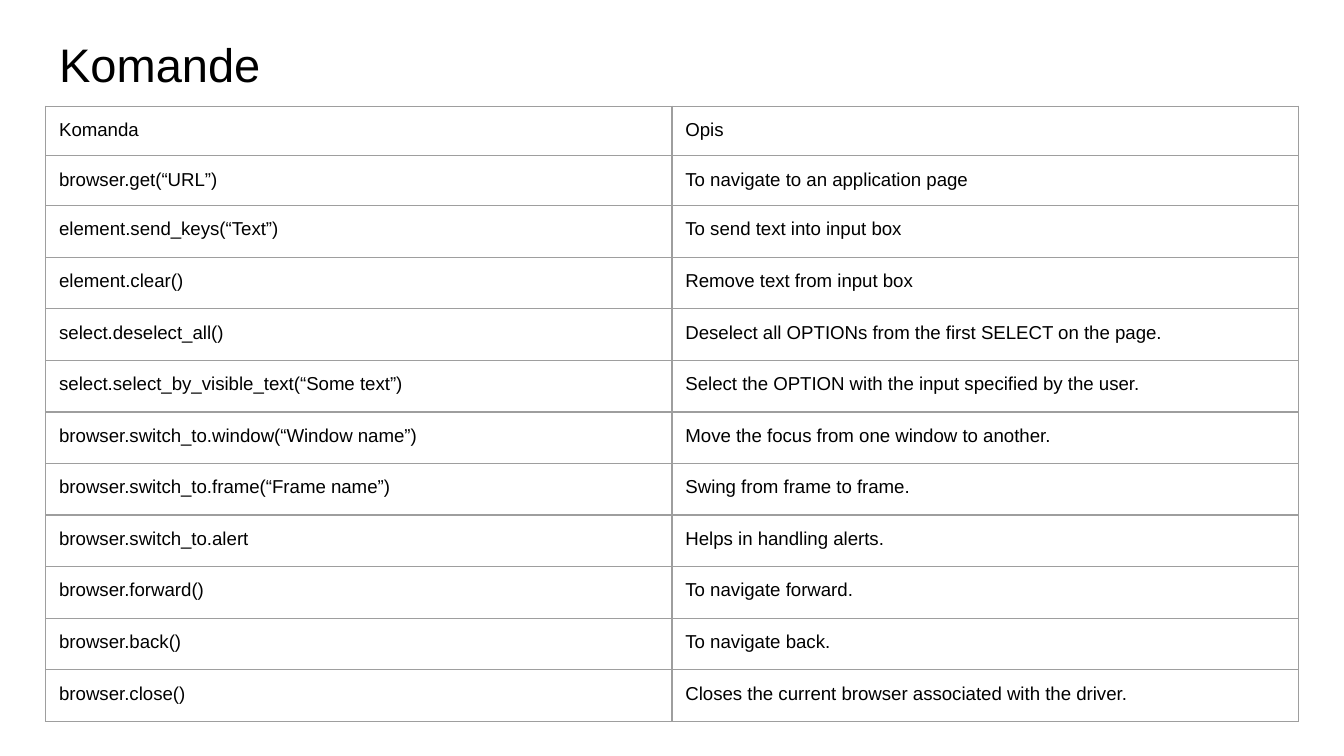
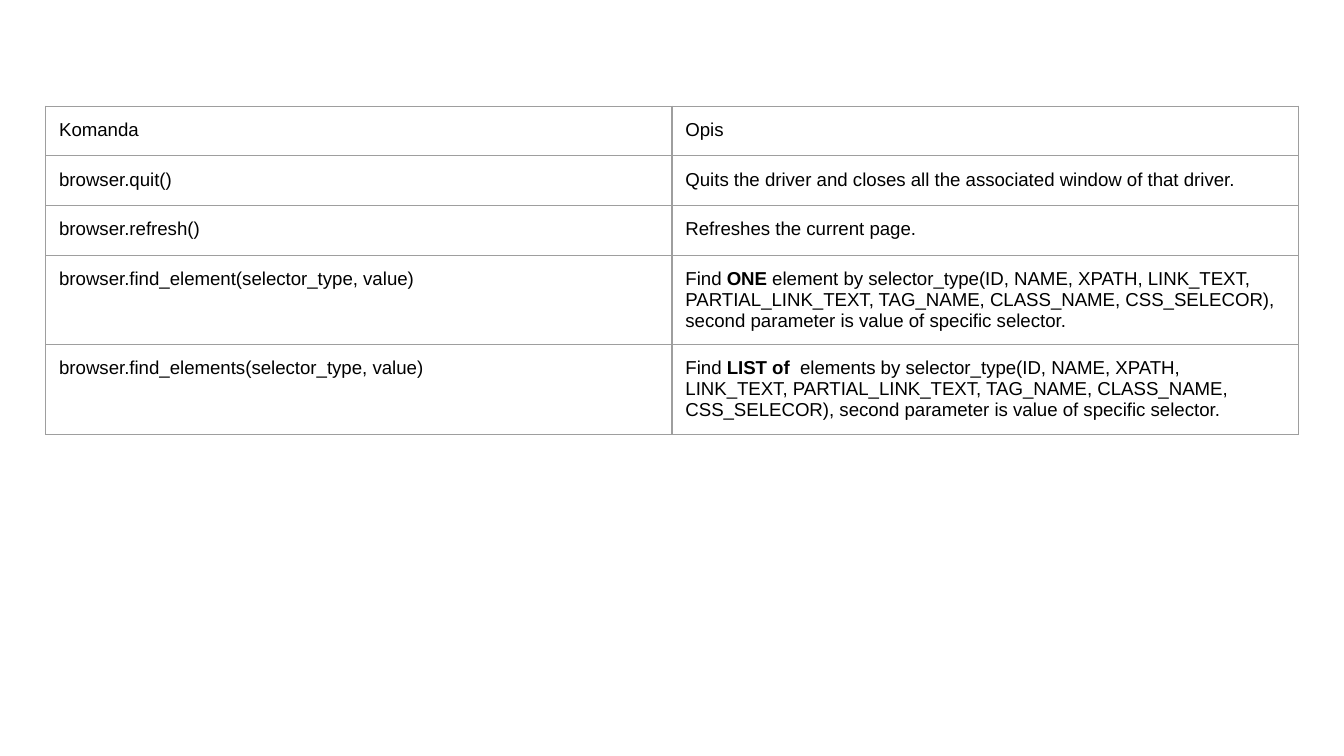
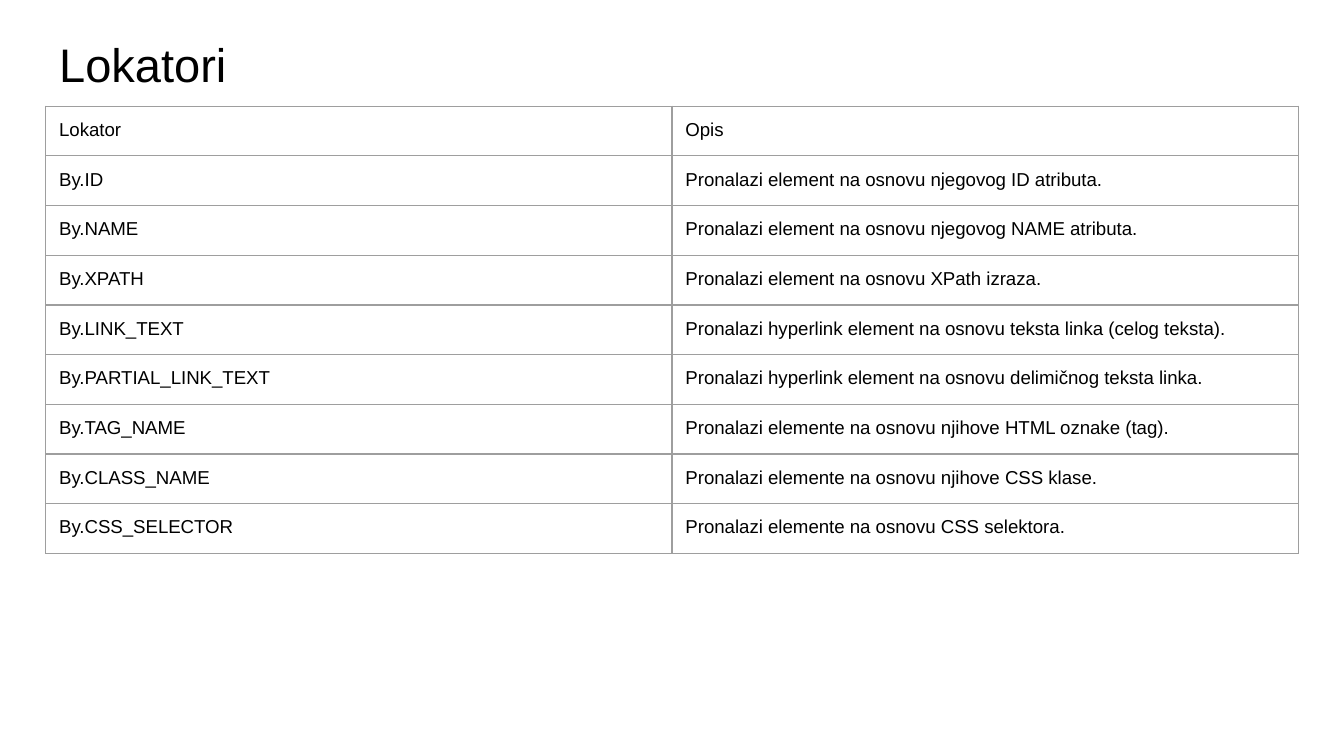
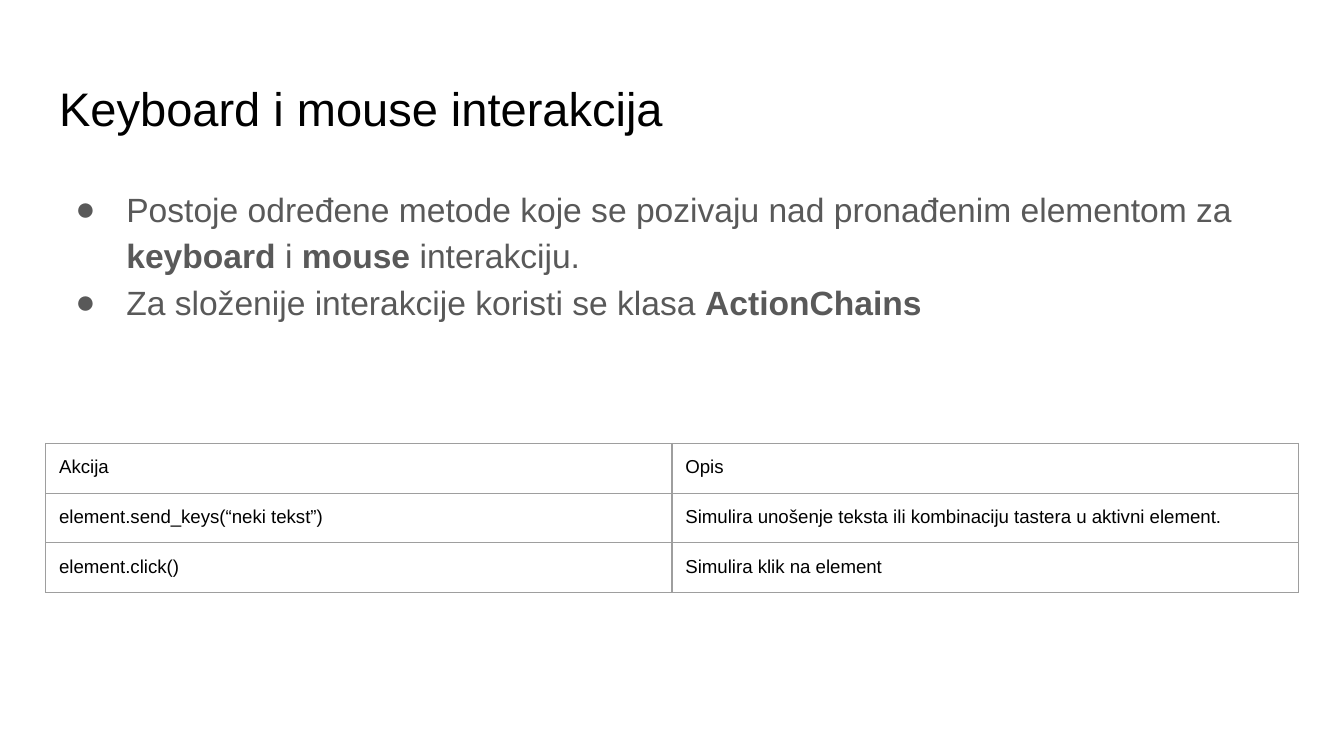
from pptx import Presentation
from pptx.dml.color import RGBColor
from pptx.enum.text import MSO_ANCHOR, PP_ALIGN
from pptx.oxml.ns import qn
from pptx.util import Inches, Pt
from lxml.etree import SubElement

COLORS = {"title": "000000", "body": "595959", "cell": "000000", "border": "9E9E9E"}
FONT = "Arial"
LEFT, WIDTH = 0.34, 9.32
INSET = Inches(0.1)
ROW_HEIGHT = 0.37
TITLE_ONLY, TITLE_AND_BODY, BLANK = 5, 1, 6

SELECTOR_TEXT = (
    " by selector_type(ID, NAME, XPATH, LINK_TEXT, PARTIAL_LINK_TEXT, TAG_NAME, "
    "CLASS_NAME, CSS_SELECOR), second parameter is value of specific selector."
)

# Double asterisks enclose bold words
slides = [
    {
        "layout": TITLE_ONLY, "title": "Komande", "title_top": 0.16,
        "table_top": 0.79, "later_row_height": 3.84 / 10,
        "rows": [
            ("Komanda", "Opis"),
            ("browser.get(“URL”)", "To navigate to an application page"),
            ("element.send_keys(“Text”)", "To send text into input box"),
            ("element.clear()", "Remove text from input box"),
            ("select.deselect_all()", "Deselect all OPTIONs from the first SELECT on the page."),
            ("select.select_by_visible_text(“Some text”)",
             "Select the OPTION with the input specified by the user."),
            ("browser.switch_to.window(“Window name”)", "Move the focus from one window to another."),
            ("browser.switch_to.frame(“Frame name”)", "Swing from frame to frame."),
            ("browser.switch_to.alert", "Helps in handling alerts."),
            ("browser.forward()", "To navigate forward."),
            ("browser.back()", "To navigate back."),
            ("browser.close()", "Closes the current browser associated with the driver."),
        ],
    },
    {
        "layout": BLANK, "table_top": 0.79,
        "rows": [
            ("Komanda", "Opis"),
            ("browser.quit()", "Quits the driver and closes all the associated window of that driver."),
            ("browser.refresh()", "Refreshes the current page."),
            ("browser.find_element(selector_type, value)", "Find **ONE** element" + SELECTOR_TEXT),
            ("browser.find_elements(selector_type, value)", "Find **LIST of ** elements" + SELECTOR_TEXT),
        ],
    },
    {
        "layout": TITLE_ONLY, "title": "Lokatori", "title_top": 0.16, "table_top": 0.79,
        "rows": [
            ("Lokator", "Opis"),
            ("By.ID", "Pronalazi element na osnovu njegovog ID atributa."),
            ("By.NAME", "Pronalazi element na osnovu njegovog NAME atributa."),
            ("By.XPATH", "Pronalazi element na osnovu XPath izraza."),
            ("By.LINK_TEXT", "Pronalazi hyperlink element na osnovu teksta linka (celog teksta)."),
            ("By.PARTIAL_LINK_TEXT", "Pronalazi hyperlink element na osnovu delimičnog teksta linka."),
            ("By.TAG_NAME", "Pronalazi elemente na osnovu njihove HTML oznake (tag)."),
            ("By.CLASS_NAME", "Pronalazi elemente na osnovu njihove CSS klase."),
            ("By.CSS_SELECTOR", "Pronalazi elemente na osnovu CSS selektora."),
        ],
    },
    {
        "layout": TITLE_AND_BODY, "title": "Keyboard i mouse interakcija", "title_top": 0.49,
        "bullets": [
            "Postoje određene metode koje se pozivaju nad pronađenim elementom za "
            "**keyboard **i **mouse** interakciju.",
            "Za složenije interakcije koristi se klasa **ActionChains**",
        ],
        "table_top": 3.3,
        "rows": [
            ("Akcija", "Opis"),
            ("element.send_keys(“neki tekst”)",
             "Simulira unošenje teksta ili kombinaciju tastera u aktivni element."),
            ("element.click()", "Simulira klik na element"),
        ],
    },
]


def write_paragraph(para, text, size, color):
    para.alignment = PP_ALIGN.LEFT
    para.font.name = FONT
    para.font.size = Pt(size)
    para.font.color.rgb = RGBColor.from_string(COLORS[color])
    for index, part in enumerate(text.split("**")):
        if part:
            span = para.add_run()
            span.text = part
            if index % 2:
                span.font.bold = True


def place_placeholder(box, top, height, anchor):
    box.left, box.top = Inches(LEFT), Inches(top)
    box.width, box.height = Inches(WIDTH), Inches(height)
    frame = box.text_frame
    frame.margin_left = frame.margin_right = INSET
    frame.margin_top = frame.margin_bottom = INSET
    frame.vertical_anchor = anchor
    frame.word_wrap = True


# Widescreen 16:9 deck
deck = Presentation()
deck.slide_width, deck.slide_height = Inches(10), Inches(10 * 9 / 16)

for content in slides:
    page = deck.slides.add_slide(deck.slide_layouts[content["layout"]])

    # Title
    if "title" in content:
        title = page.shapes.title
        place_placeholder(title, content["title_top"], 0.63, MSO_ANCHOR.MIDDLE)
        write_paragraph(title.text_frame.paragraphs[0], content["title"], 25.2, "title")

    # Bulleted list
    if "bullets" in content:
        body = page.placeholders[1]
        place_placeholder(body, 1.26, 1.86, MSO_ANCHOR.TOP)
        for index, text in enumerate(content["bullets"]):
            frame = body.text_frame
            para = frame.add_paragraph() if index else frame.paragraphs[0]
            write_paragraph(para, text, 18, "body")
            para.line_spacing = 1.15
            para.space_before = Pt(0)
            properties = para._p.get_or_add_pPr()
            properties.set("marL", str(Inches(0.5)))
            properties.set("indent", str(Inches(-0.38)))
            bullet_color = SubElement(properties, qn("a:buClr"))
            SubElement(bullet_color, qn("a:srgbClr"), val=COLORS["body"])
            SubElement(properties, qn("a:buFont"), typeface=FONT)
            SubElement(properties, qn("a:buChar"), char="●")
            # Default run properties follow the bullet in the schema order
            properties.append(properties.find(qn("a:defRPr")))

    # Two-column table
    rows = content["rows"]
    table = page.shapes.add_table(
        len(rows), 2, Inches(LEFT), Inches(content["table_top"]),
        Inches(WIDTH), Inches(ROW_HEIGHT * len(rows)),
    ).table
    table.first_row = table.horz_banding = False
    later_height = content.get("later_row_height", ROW_HEIGHT)
    for row_index, texts in enumerate(rows):
        table.rows[row_index].height = Inches(ROW_HEIGHT if row_index < 2 else later_height)
        for column_index, text in enumerate(texts):
            cell = table.cell(row_index, column_index)
            cell.margin_left = cell.margin_right = INSET
            cell.margin_top = cell.margin_bottom = INSET
            write_paragraph(cell.text_frame.paragraphs[0], text, 10, "cell")
            # Borders come before the fill in the cell properties
            properties = cell._tc.get_or_add_tcPr()
            for side in ("a:lnL", "a:lnR", "a:lnT", "a:lnB"):
                line = SubElement(properties, qn(side), w=str(Pt(0.75)))
                fill = SubElement(line, qn("a:solidFill"))
                SubElement(fill, qn("a:srgbClr"), val=COLORS["border"])
            cell.fill.background()

deck.save("out.pptx")
